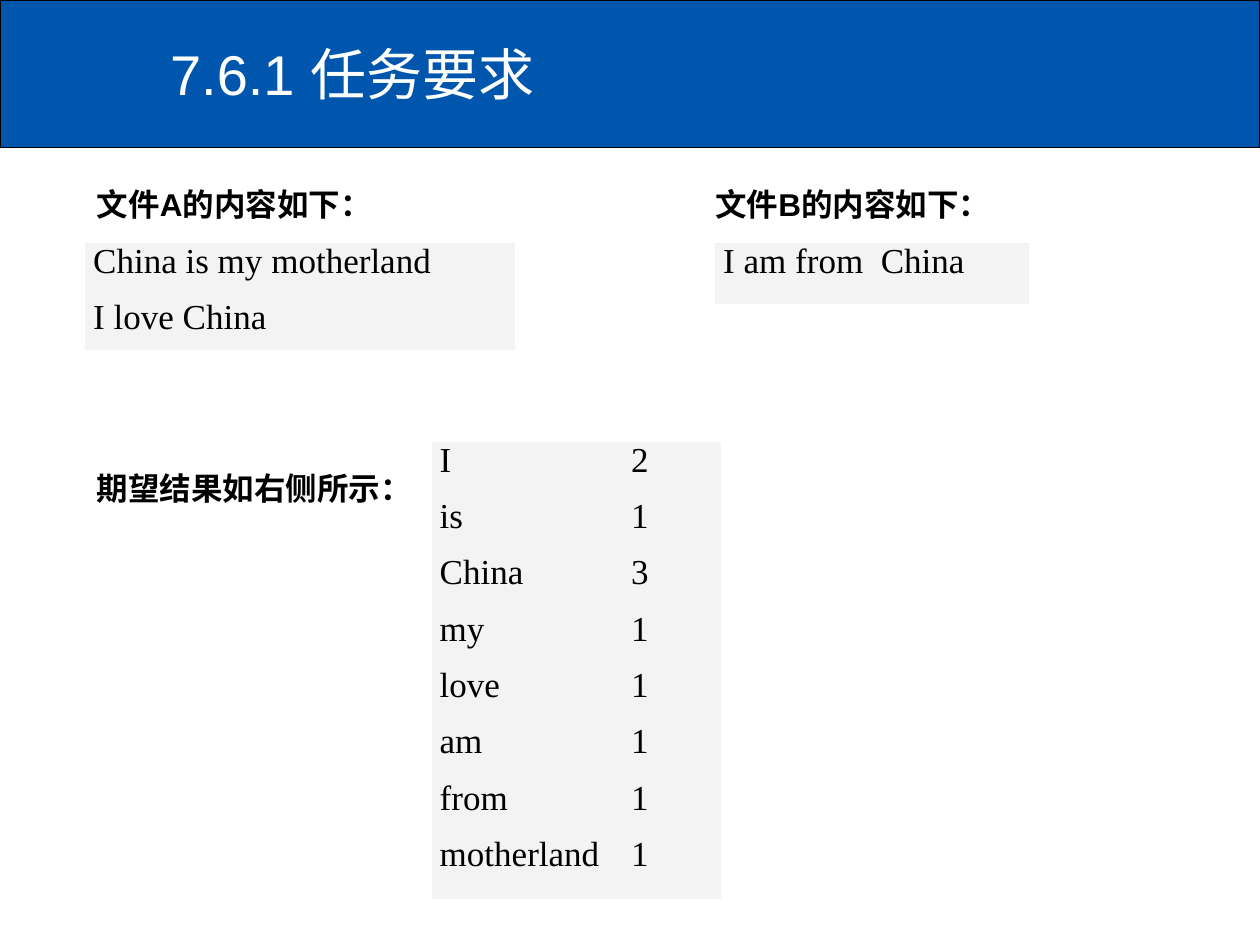
from lxml import etree
from pptx import Presentation
from pptx.dml.color import RGBColor
from pptx.enum.shapes import MSO_SHAPE as SHAPE
from pptx.enum.text import MSO_ANCHOR as ANCHOR, PP_ALIGN as ALIGN
from pptx.oxml.ns import qn
from pptx.util import Inches, Pt

BLUE, WHITE, BLACK, GREY = "0056AC", "FFFFFF", "000000", "F3F3F3"
COUNTS = [("I", 2), ("is", 1), ("China", 3), ("my", 1),
          ("love", 1), ("am", 1), ("from", 1), ("motherland", 1)]


def rgb(value):
    return RGBColor.from_string(value)


def write(tf, lines, size=20, font="Times New Roman", color=BLACK, bold=False,
          align=ALIGN.LEFT, space=0, tab=None):
    """Write one paragraph per line; tab is the position of a tab stop in inches."""
    for i, line in enumerate(lines):
        p = tf.paragraphs[0] if i == 0 else tf.add_paragraph()
        p.alignment = align
        p.space_before = p.space_after = Pt(space)
        if tab:
            stops = etree.SubElement(p._p.get_or_add_pPr(), qn("a:tabLst"))
            etree.SubElement(stops, qn("a:tab"), pos=str(Inches(tab)), algn="l")
        r = p.add_run()
        r.text = line
        r.font.size, r.font.name, r.font.bold = Pt(size), font, bold
        r.font.color.rgb = rgb(color)
        etree.SubElement(r._r.get_or_add_rPr(), qn("a:ea"), typeface=font)


def add_header(slide, text, height):
    band = slide.shapes.add_shape(SHAPE.RECTANGLE, 0, 0, Inches(10), Inches(height))
    band.shadow.inherit = False
    band.fill.solid()
    band.fill.fore_color.rgb = rgb(BLUE)
    band.line.color.rgb = rgb(BLACK)
    band.line.width = Pt(0.75)
    title = slide.shapes.title
    title._element.addprevious(band._element)
    title.left, title.top = Inches(1.25), Inches(0.08)
    title.width, title.height = Inches(8.75), Inches(1)
    title.text_frame.vertical_anchor = ANCHOR.MIDDLE
    write(title.text_frame, [text], size=32, font="Arial", color=WHITE)


def add_label(slide, text, left, top, width):
    box = slide.shapes.add_textbox(Inches(left), Inches(top), Inches(width), Inches(0.4))
    box.text_frame.word_wrap = False
    write(box.text_frame, [text], size=18, font="Arial", bold=True)


def add_listing(slide, lines, left, top, width, height, tab=None):
    """Add a one-cell grey table holding the lines."""
    table = slide.shapes.add_table(1, 1, Inches(left), Inches(top),
                                   Inches(width), Inches(height)).table
    table.first_row = table.horz_banding = False
    cell = table.cell(0, 0)
    cell.fill.solid()
    cell.fill.fore_color.rgb = rgb(GREY)
    cell.margin_left = cell.margin_right = Inches(0.07)
    cell.margin_top = cell.margin_bottom = 0
    write(cell.text_frame, lines, align=ALIGN.JUSTIFY, space=5, tab=tab)


def main():
    prs = Presentation()
    prs.slide_width, prs.slide_height = Inches(10), Inches(7.5)
    slide = prs.slides.add_slide(prs.slide_layouts[5])
    add_header(slide, "7.6.1 任务要求", 1.17)

    add_label(slide, "文件A的内容如下：", 0.67, 1.42, 2.42)
    add_listing(slide, ["China is my motherland", "I love China"], 0.67, 1.92, 3.42, 0.86)
    add_label(slide, "文件B的内容如下：", 5.58, 1.42, 2.4)
    add_listing(slide, ["I am from  China"], 5.67, 1.92, 2.5, 0.5)

    add_label(slide, "期望结果如右侧所示：", 0.67, 3.67, 2.73)
    add_listing(slide, [f"{word}\t{count}" for word, count in COUNTS],
                3.42, 3.5, 2.31, 3.64, tab=1.52)
    prs.save("out.pptx")


if __name__ == "__main__":
    main()
